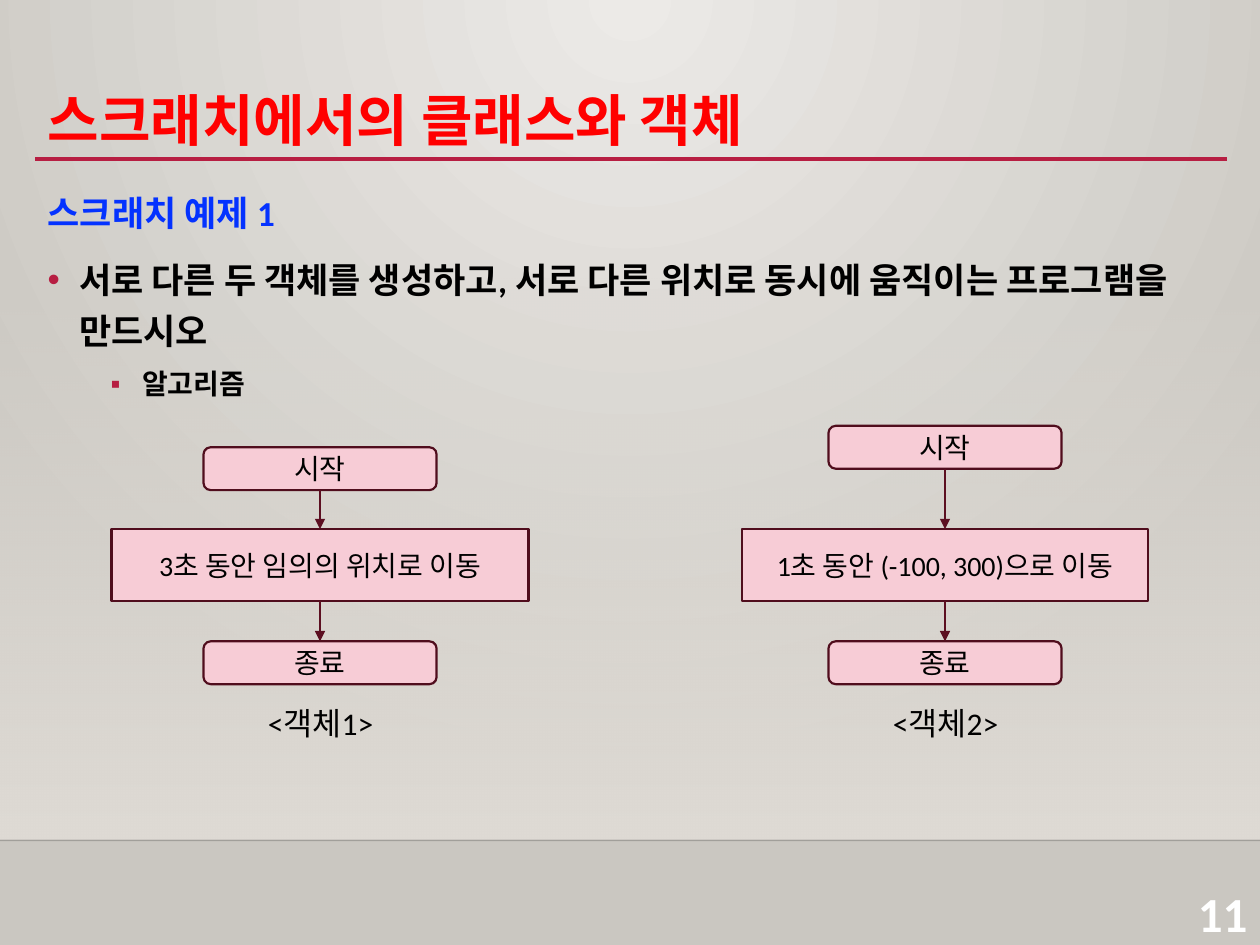
from dataclasses import dataclass

from lxml import etree
from pptx import Presentation
from pptx.dml.color import RGBColor
from pptx.enum.shapes import MSO_CONNECTOR as CONNECTOR, MSO_SHAPE as SHAPE
from pptx.enum.text import MSO_ANCHOR as ANCHOR, PP_ALIGN as ALIGN
from pptx.oxml import parse_xml
from pptx.oxml.ns import nsdecls, qn
from pptx.util import Inches, Pt


@dataclass(frozen=True)
class Theme:
    font: str = "Calibri"
    background_light: str = "ECEAE7"
    background_dark: str = "CAC7C1"
    panel: str = "DFDBD5"
    panel_edge: str = "000001"
    accent: str = "B71E42"
    title: str = "FF0000"
    heading: str = "0432FF"
    text: str = "000000"
    page_number: str = "FFFFFF"
    node_fill: str = "F7CCD6"
    node_line: str = "500D1D"
    arrow: str = "5C0F21"
    title_size: int = 32
    page_size: int = 28
    body_size: int = 20
    caption_size: int = 18
    small_size: int = 16


THEME = Theme()


def rgb(color):
    return RGBColor.from_string(color)


def set_gradient(fill, owner, stops, direction):
    """Fill with (position, colour, opacity) stops; direction is XML."""
    fill.gradient()
    gradient = owner.find(".//" + qn("a:gradFill"))
    stop_xml = "".join(
        f'<a:gs pos="{position * 1000}"><a:srgbClr val="{color}">'
        f'<a:alpha val="{opacity * 1000}"/></a:srgbClr></a:gs>'
        for position, color, opacity in stops)
    gradient.getparent().replace(gradient, parse_xml(
        f'<a:gradFill {nsdecls("a")} rotWithShape="1">'
        f"<a:gsLst>{stop_xml}</a:gsLst>{direction}</a:gradFill>"))


def set_bullet(paragraph, bullet, margin):
    properties = paragraph._p.get_or_add_pPr()
    properties.set("marL", str(Inches(margin)))
    properties.set("indent", str(Inches(-0.25)))
    color = etree.SubElement(properties, qn("a:buClr"))
    etree.SubElement(color, qn("a:srgbClr"), val=THEME.accent)
    etree.SubElement(properties, qn("a:buFont"), typeface="Arial")
    etree.SubElement(properties, qn("a:buChar"), char=bullet)


def write(paragraph, text, *, size, color=THEME.text, bold=False,
          align=ALIGN.LEFT, line_spacing=None, before=0, bullet=None,
          margin=0, level=0):
    if bullet:
        set_bullet(paragraph, bullet, margin)
    paragraph.level = level
    paragraph.alignment = align
    paragraph.space_before = Pt(before)
    if line_spacing:
        paragraph.line_spacing = line_spacing
    run = paragraph.add_run()
    run.text = text
    run.font.name = THEME.font
    run.font.size = Pt(size)
    run.font.bold = bold
    run.font.color.rgb = rgb(color)


def add_text_box(shapes, box, anchor=ANCHOR.TOP):
    frame = shapes.add_textbox(*map(Inches, box)).text_frame
    frame.word_wrap = True
    frame.vertical_anchor = anchor
    return frame


def add_line(shapes, start, end, color, width, opacity=100, arrow=False):
    line = shapes.add_connector(
        CONNECTOR.STRAIGHT, *map(Inches, (*start, *end)))
    line.line.color.rgb = rgb(color)
    line.line.width = Pt(width)
    outline = line.line._get_or_add_ln()
    if opacity < 100:
        etree.SubElement(outline.find(".//" + qn("a:srgbClr")),
                         qn("a:alpha"), val=str(opacity * 1000))
    if arrow:
        etree.SubElement(outline, qn("a:tailEnd"), type="triangle")
    etree.SubElement(line._element.spPr, qn("a:effectLst"))


def add_node(shapes, kind, center, top, width, height, text):
    node = shapes.add_shape(
        kind, *map(Inches, (center - width / 2, top, width, height)))
    node.shadow.inherit = False
    node.fill.solid()
    node.fill.fore_color.rgb = rgb(THEME.node_fill)
    node.line.color.rgb = rgb(THEME.node_line)
    node.line.width = Pt(1.25)
    frame = node.text_frame
    frame.word_wrap = True
    frame.vertical_anchor = ANCHOR.MIDDLE
    write(frame.paragraphs[0], text, size=THEME.small_size,
          align=ALIGN.CENTER)


def add_flowchart(slide, center, start_top, step_width, step, caption):
    shapes = slide.shapes.add_group_shape().shapes
    terminal = SHAPE.FLOWCHART_ALTERNATE_PROCESS
    terminal_width, terminal_height = 1.85, 0.34
    step_top, step_height, end_top = 4.2, 0.57, 5.09

    add_node(shapes, SHAPE.RECTANGLE, center, step_top, step_width,
             step_height, step)
    for top, text in ((start_top, "시작"), (end_top, "종료")):
        add_node(shapes, terminal, center, top, terminal_width,
                 terminal_height, text)
    for top, bottom in ((start_top + terminal_height, step_top),
                        (step_top + step_height, end_top)):
        add_line(shapes, (center, top), (center, bottom), THEME.arrow, 0.75,
                 arrow=True)
    frame = add_text_box(shapes, (center - 0.56, 5.54, 1.13, 0.4))
    write(frame.paragraphs[0], caption, size=THEME.caption_size,
          align=ALIGN.CENTER)


def add_backdrop(slide):
    set_gradient(
        slide.background.fill, slide._element,
        ((0, THEME.background_light, 100), (100, THEME.background_dark, 100)),
        '<a:path path="circle">'
        '<a:fillToRect l="43000" t="0" r="43000" b="100000"/></a:path>')
    panel = slide.shapes.add_shape(
        SHAPE.RECTANGLE, *map(Inches, (0, 2.2, 10, 4.46)))
    panel.shadow.inherit = False
    panel.line.fill.background()
    set_gradient(panel.fill, panel._element,
                 ((0, THEME.panel, 0), (100, THEME.panel, 100)),
                 '<a:lin ang="5400000" scaled="0"/>')
    add_line(slide.shapes, (0, 6.67), (10, 6.67), THEME.panel_edge, 1,
             opacity=20)
    add_line(slide.shapes, (0.28, 1.26), (9.74, 1.26), THEME.accent, 2.5)


def add_body(slide):
    frame = add_text_box(slide.shapes, (0.28, 1.4, 9.45, 5.22))
    style = dict(bold=True, line_spacing=1.2)
    write(frame.paragraphs[0], "스크래치 예제 1", size=THEME.body_size,
          color=THEME.heading, **style)
    write(frame.add_paragraph(),
          "서로 다른 두 객체를 생성하고, 서로 다른 위치로 동시에 움직이는 "
          "프로그램을 만드시오",
          size=THEME.body_size, before=10, bullet="•", margin=0.25, **style)
    write(frame.add_paragraph(), "알고리즘", size=THEME.small_size, before=5,
          bullet="▪", margin=0.75, level=1, **style)


def main():
    presentation = Presentation()
    presentation.slide_width = Inches(10)
    presentation.slide_height = Inches(7.5)
    slide = presentation.slides.add_slide(presentation.slide_layouts[6])

    add_backdrop(slide)
    number = add_text_box(slide.shapes, (9.13, 6.96, 0.87, 0.55))
    write(number.paragraphs[0], "11", size=THEME.page_size, bold=True,
          color=THEME.page_number, align=ALIGN.RIGHT)
    title = add_text_box(slide.shapes, (0.28, 0.11, 9.45, 1.15),
                         ANCHOR.BOTTOM)
    write(title.paragraphs[0], "스크래치에서의 클래스와 객체",
          size=THEME.title_size, color=THEME.title, bold=True,
          line_spacing=1.5)
    add_body(slide)
    add_flowchart(slide, 2.54, 3.55, 3.31, "3초 동안 임의의 위치로 이동",
                  "<객체1>")
    add_flowchart(slide, 7.5, 3.38, 3.22, "1초 동안 (-100, 300)으로 이동",
                  "<객체2>")
    presentation.save("out.pptx")


if __name__ == "__main__":
    main()
